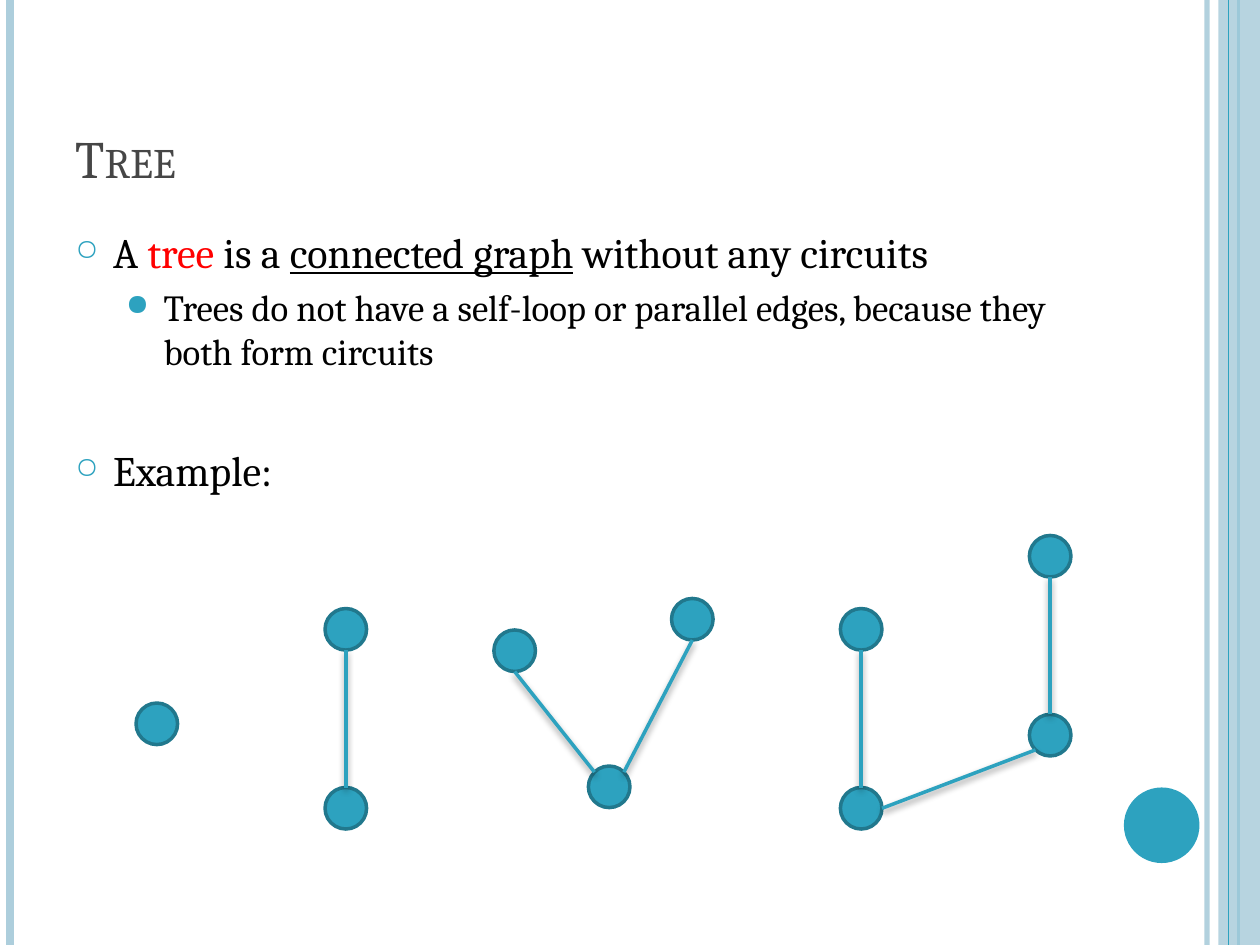
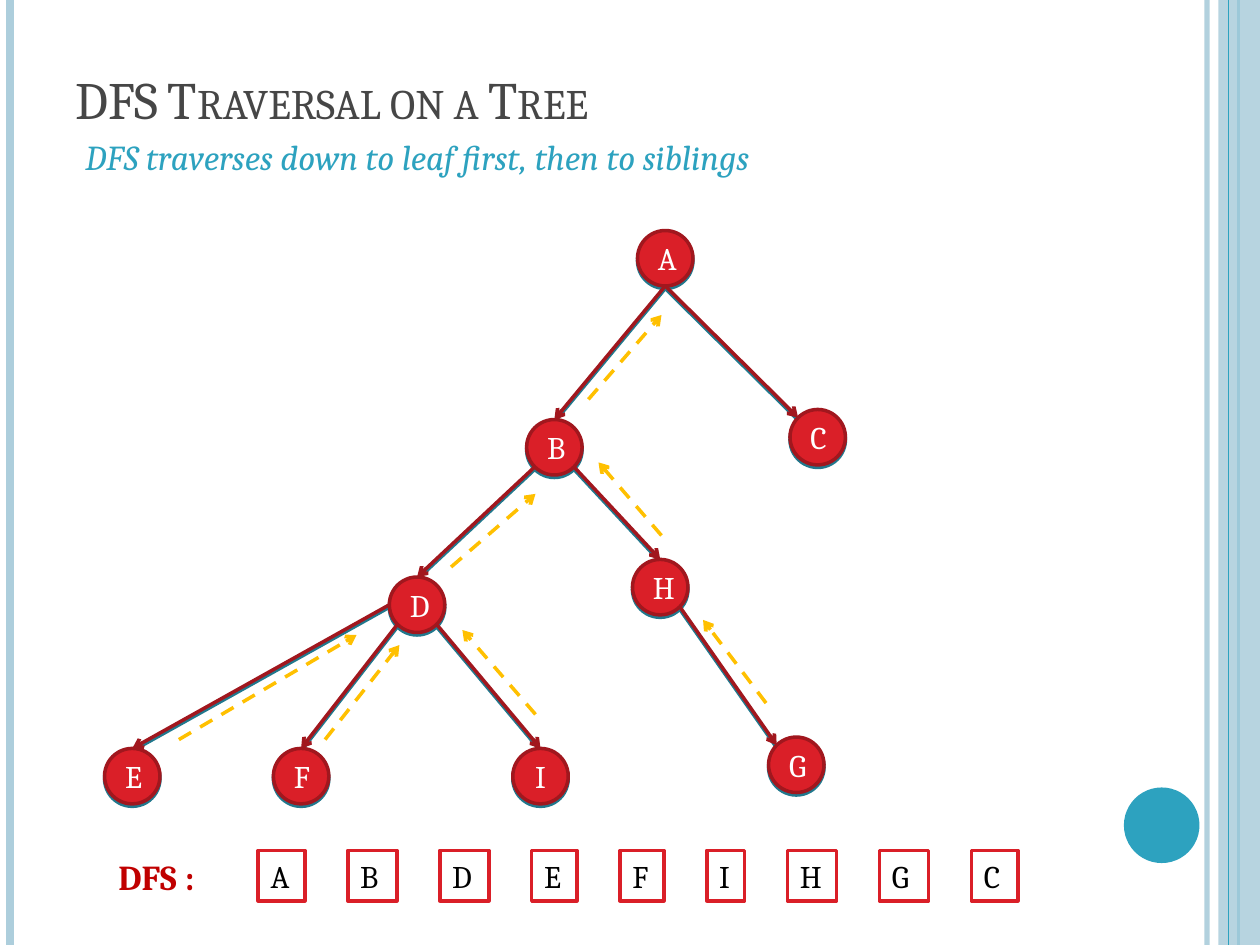
"""Build two slides on trees and depth-first traversal."""
from dataclasses import dataclass

from lxml.etree import SubElement
from pptx import Presentation
from pptx.dml.color import RGBColor
from pptx.enum.dml import MSO_LINE
from pptx.enum.shapes import MSO_CONNECTOR, MSO_SHAPE
from pptx.enum.text import MSO_ANCHOR, MSO_AUTO_SIZE, PP_ALIGN
from pptx.oxml.ns import qn
from pptx.util import Inches, Pt


@dataclass(frozen=True)
class Theme:
    """Hold the colours, font and type sizes."""
    font: str = "Cambria"
    pale: str = "ADCEDC"
    teal: str = "2DA2BF"
    teal_dark: str = "21788D"
    red: str = "DA1F28"
    red_dark: str = "A1171E"
    highlight: str = "FF0000"
    label: str = "C00000"
    backtrack: str = "FFC000"
    heading: str = "464646"
    black: str = "000000"
    white: str = "FFFFFF"
    title_size: int = 30
    body_size: int = 24
    sub_size: int = 21
    lead_size: int = 20
    node_size: int = 18


T = Theme()
DIAGONAL = 0.5 ** 0.5
SITES = {
    "top": (0, -1), "bottom": (0, 1), "left": (-1, 0), "right": (1, 0),
    "top_left": (-DIAGONAL, -DIAGONAL), "top_right": (DIAGONAL, -DIAGONAL),
    "bottom_left": (-DIAGONAL, DIAGONAL), "bottom_right": (DIAGONAL, DIAGONAL),
}

SAMPLE_DIAMETER = 0.33
SAMPLE_TREES = [
    ([(1.08, 5.58)], []),
    ([(2.58, 4.83), (2.58, 6.25)], [(0, "bottom", 1, "top")]),
    ([(3.92, 5), (4.67, 6.08), (5.33, 4.75)],
     [(0, "bottom", 1, "top_left"), (2, "bottom", 1, "top_right")]),
    ([(6.67, 4.83), (6.67, 6.25), (8.17, 4.25), (8.17, 5.67)],
     [(0, "bottom", 1, "top"), (3, "bottom_left", 1, "right"),
      (2, "bottom", 3, "top")]),
]

DFS_DIAMETER = 0.44
DFS_NODES = {
    "A": (5.06, 1.83), "B": (4.18, 3.33), "C": (6.27, 3.25),
    "D": (3.09, 4.58), "E": (0.83, 5.94), "F": (2.17, 5.94),
    "G": (6.1, 5.85), "H": (5.02, 4.44), "I": (4.07, 5.94),
}
DFS_EDGES = [
    ("A", "bottom", "B", "top"), ("A", "bottom", "C", "top_left"),
    ("B", "bottom_left", "D", "top"), ("B", "bottom_right", "H", "top"),
    ("D", "left", "E", "top"), ("D", "bottom_left", "F", "top"),
    ("D", "bottom_right", "I", "top"), ("H", "bottom_right", "G", "top_left"),
]
BACKTRACKS = [
    ((1.42, 5.87), (2.83, 5.04)), ((2.58, 5.87), (3.17, 5.12)),
    ((4.25, 5.67), (3.67, 5)), ((3.58, 4.5), (4.25, 3.92)),
    ((6.08, 5.58), (5.58, 4.92)), ((5.25, 4.25), (4.75, 3.67)),
    ((4.67, 3.17), (5.25, 2.5)),
]
VISITS = [("A", 0.37), ("B", 0.39), ("D", 0.39), ("E", 0.36), ("F", 0.35),
          ("I", 0.3), ("H", 0.39), ("G", 0.39), ("C", 0.37)]


def rgb(color):
    """Turn a hex string into a colour."""
    return RGBColor.from_string(color)


def set_alpha(sp, percent):
    """Make the first colour of a shape partly transparent."""
    clr = next(sp._element.spPr.iter(qn("a:srgbClr")))
    SubElement(clr, qn("a:alpha"), val=str(percent * 1000))


def write(p, text, size, color=T.black, bold=None, italic=None,
          underline=None, small_caps=False):
    """Add one formatted run to a paragraph."""
    r = p.add_run()
    r.text = text
    r.font.name, r.font.size = T.font, Pt(size)
    r.font.color.rgb = rgb(color)
    r.font.bold, r.font.italic, r.font.underline = bold, italic, underline
    if small_caps:
        r._r.get_or_add_rPr().set("cap", "small")


def add_bullet(p, char, percent, margin, before):
    """Give a paragraph a teal bullet with a hanging indent."""
    p.space_before = Pt(before)
    pPr = p._p.get_or_add_pPr()
    pPr.set("marL", str(Inches(margin)))
    pPr.set("indent", str(Inches(-0.3)))
    SubElement(SubElement(pPr, qn("a:buClr")), qn("a:srgbClr"), val=T.teal)
    SubElement(pPr, qn("a:buSzPct"), val=str(percent * 1000))
    SubElement(pPr, qn("a:buChar"), char=char)


def add_textbox(s, left, top, width, height, anchor=MSO_ANCHOR.TOP, wrap=True):
    """Add a text box and return its text frame."""
    tf = s.shapes.add_textbox(Inches(left), Inches(top),
                              Inches(width), Inches(height)).text_frame
    tf.word_wrap = wrap
    tf.vertical_anchor = anchor
    return tf


def add_block(s, kind, left, top, width, height, fill, line=None):
    """Add a filled preset shape with an optional outline."""
    sp = s.shapes.add_shape(kind, Inches(left), Inches(top),
                            Inches(width), Inches(height))
    sp.shadow.inherit = False
    sp.fill.solid()
    sp.fill.fore_color.rgb = rgb(fill)
    if line:
        sp.line.color.rgb = rgb(line)
        sp.line.width = Pt(2)
    else:
        sp.line.fill.background()
    return sp


def add_line(s, start, end, color, width=2, dash=False, arrow=False,
             shadow=False):
    """Add a straight line, with an arrowhead or shadow if wanted."""
    cx = s.shapes.add_connector(MSO_CONNECTOR.STRAIGHT,
                                *(Inches(v) for v in (*start, *end)))
    cx.line.color.rgb = rgb(color)
    cx.line.width = Pt(width)
    if dash:
        cx.line.dash_style = MSO_LINE.DASH
    if arrow:
        SubElement(cx.line._get_or_add_ln(), qn("a:tailEnd"), type="arrow")
    effects = SubElement(cx._element.spPr, qn("a:effectLst"))
    if shadow:
        outer = SubElement(effects, qn("a:outerShdw"), blurRad=str(Pt(4)),
                           dist=str(Pt(2)), dir="5400000", rotWithShape="0")
        clr = SubElement(outer, qn("a:srgbClr"), val=T.black)
        SubElement(clr, qn("a:alpha"), val="40000")
    return cx


def site_point(corner, diameter, site):
    """Find a connection site on a round node."""
    return [c + diameter / 2 * (1 + d) for c, d in zip(corner, SITES[site])]


def add_tree(s, nodes, edges, diameter, fill, line, edge_color, drop=0,
             **edge_format):
    """Draw round nodes, labelled if their keys are letters, and edges."""
    corners = {key: (x, y + drop) for key, (x, y) in nodes.items()}
    circles = {}
    for key, corner in corners.items():
        sp = add_block(s, MSO_SHAPE.OVAL, *corner, diameter, diameter,
                       fill, line)
        circles[key] = sp
        if isinstance(key, str):
            p = sp.text_frame.paragraphs[0]
            p.alignment = PP_ALIGN.CENTER
            write(p, key, T.node_size, T.white)
    for parent, out_site, child, in_site in edges:
        cx = add_line(s, site_point(corners[parent], diameter, out_site),
                      site_point(corners[child], diameter, in_site),
                      edge_color, **edge_format)
        if in_site == "top":
            cx.end_connect(circles[child], 0)


def add_frame(s):
    """Draw the side bands and the disc found on every slide."""
    def rule(x, color, width):
        """Draw a full-height rule."""
        return add_line(s, (x, 0), (x, 7.5), color, width)

    set_alpha(rule(9.58, T.pale, 3), 93)
    rule(0.08, T.pale, 4.5)
    rule(9.83, T.teal, 1.5)
    set_alpha(add_block(s, MSO_SHAPE.RECTANGLE, 9.67, 0, 0.33, 7.5, T.pale), 87)
    rule(9.75, T.teal, 0.75)
    add_block(s, MSO_SHAPE.OVAL, 8.92, 6.25, 0.6, 0.6, T.teal)


def new_slide(prs, title, title_top):
    """Add a blank slide with the frame and a title."""
    s = prs.slides.add_slide(prs.slide_layouts[6])
    add_frame(s)
    tf = add_textbox(s, 0.5, title_top, 8.17, 1.25, MSO_ANCHOR.BOTTOM)
    write(tf.paragraphs[0], title, T.title_size, T.heading, small_caps=True)
    return s


def build_definition(prs):
    """Build the slide that defines a tree."""
    s = new_slide(prs, "Tree", 0.3)
    tf = add_textbox(s, 0.5, 1.75, 8.17, 2.75)
    p = tf.paragraphs[0]
    add_bullet(p, "○", 70, 0.3, 6)
    write(p, "A ", T.body_size)
    write(p, "tree", T.body_size, T.highlight)
    write(p, " is a ", T.body_size)
    write(p, "connected graph", T.body_size, underline=True)
    write(p, " without any circuits", T.body_size)
    p = tf.add_paragraph()
    p.level = 1
    add_bullet(p, "●", 80, 0.7, 4.2)
    write(p, "Trees do not have a self-loop or parallel edges, "
             "because they both form circuits", T.sub_size)
    p = tf.add_paragraph()
    add_bullet(p, "○", 70, 0.3, 41)
    write(p, "Example:", T.body_size)
    for corners, edges in SAMPLE_TREES:
        add_tree(s, dict(enumerate(corners)), edges, SAMPLE_DIAMETER,
                 T.teal, T.teal_dark, T.teal, shadow=True)


def add_visit_order(s):
    """Draw the row of visited letters."""
    left = 2.05
    for letter, width in VISITS:
        sp = add_block(s, MSO_SHAPE.RECTANGLE, left, 6.75, width, 0.4,
                       T.white, T.red)
        tf = sp.text_frame
        tf.word_wrap = False
        tf.auto_size = MSO_AUTO_SIZE.SHAPE_TO_FIT_TEXT
        tf.vertical_anchor = MSO_ANCHOR.TOP
        tf.paragraphs[0].alignment = PP_ALIGN.LEFT
        write(tf.paragraphs[0], letter, T.node_size)
        left += width + 0.34
    tf = add_textbox(s, 0.84, 6.74, 0.99, 0.44, wrap=False)
    write(tf.paragraphs[0], "DFS :", T.lead_size, T.label, bold=True)


def build_traversal(prs):
    """Build the slide that shows a depth-first traversal."""
    s = new_slide(prs, "DFS Traversal on a Tree", -0.17)
    p = add_textbox(s, 0.58, 1.03, 8.17, 0.5).paragraphs[0]
    p.space_before = Pt(6)
    write(p, "DFS traverses down to leaf first, then to siblings",
          T.lead_size, T.teal, italic=True)
    add_tree(s, DFS_NODES, DFS_EDGES, DFS_DIAMETER,
             T.teal, T.teal_dark, T.teal_dark, drop=0.02)
    add_tree(s, DFS_NODES, DFS_EDGES, DFS_DIAMETER,
             T.red, T.red_dark, T.red_dark, arrow=True)
    for start, end in BACKTRACKS:
        add_line(s, start, end, T.backtrack, dash=True, arrow=True)
    add_visit_order(s)


def main():
    """Build and save the presentation."""
    prs = Presentation()
    prs.slide_width, prs.slide_height = Inches(10), Inches(7.5)
    build_definition(prs)
    build_traversal(prs)
    prs.save("out.pptx")


if __name__ == "__main__":
    main()
